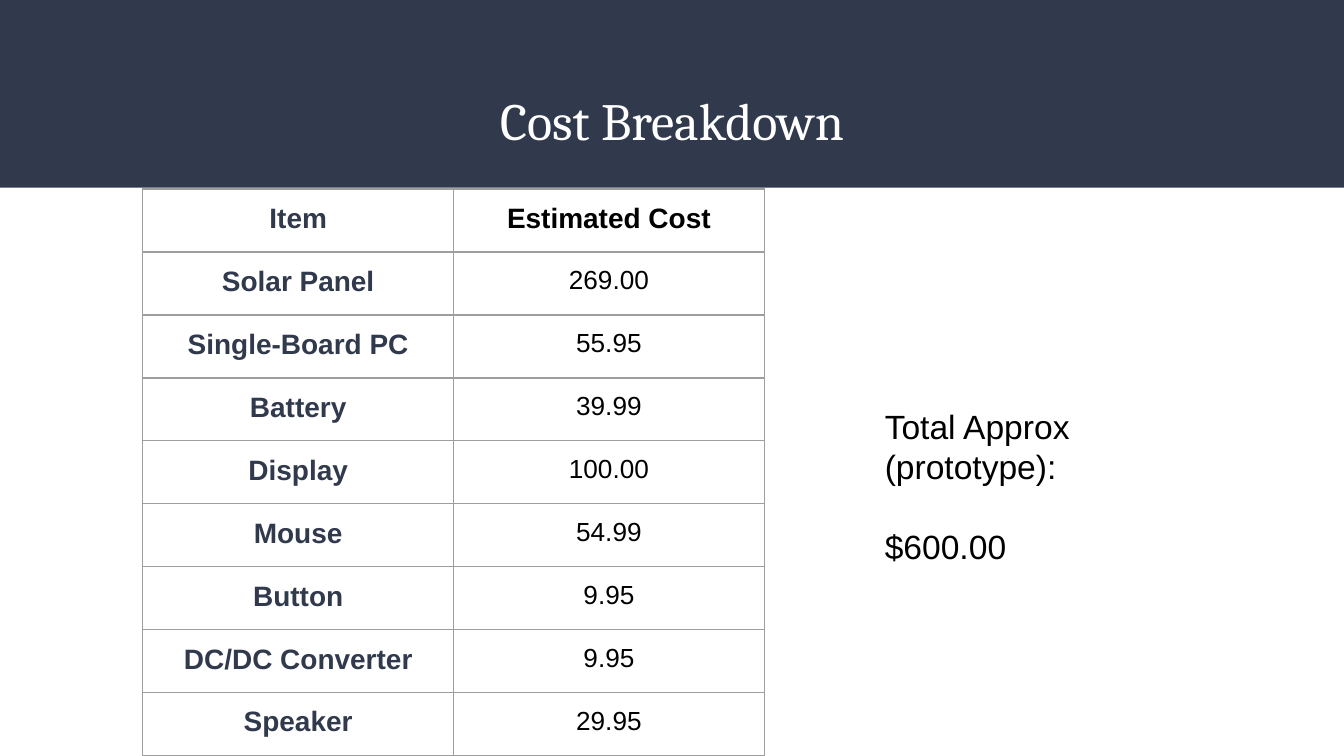
from lxml.etree import SubElement
from pptx import Presentation
from pptx.dml.color import RGBColor
from pptx.enum.shapes import MSO_SHAPE as Shape
from pptx.enum.text import MSO_ANCHOR as Anchor, PP_ALIGN as Align
from pptx.oxml.ns import qn
from pptx.util import Pt

PX = 9525
COLORS = {"navy": "31394D", "white": "FFFFFF", "black": "000000", "border": "9E9E9E"}
COSTS = [
    ("Item", "Estimated Cost"),
    ("Solar Panel", "269.00"),
    ("Single-Board PC", "55.95"),
    ("Battery", "39.99"),
    ("Display", "100.00"),
    ("Mouse", "54.99"),
    ("Button", "9.95"),
    ("DC/DC Converter", "9.95"),
    ("Speaker", "29.95"),
]
MARGINS = {f"margin_{side}": 10 * PX for side in ("left", "right", "top", "bottom")}
TITLE = {"name": "Cambria", "size": Pt(28)}
LABEL = {"name": "Arial", "size": Pt(15), "bold": True}
VALUE = {"name": "Arial", "size": Pt(14), "bold": False}
NOTE = {"name": "Arial", "size": Pt(18)}


def emu(*lengths):
    """Turn px lengths into EMU."""
    return [length * PX for length in lengths]


def set_all(target, values):
    """Set every attribute named in a dict."""
    for name, value in values.items():
        setattr(target, name, value)


def write(paragraph, text, font, color, align=Align.CENTER):
    """Put formatted text in a paragraph."""
    paragraph.alignment = align
    run = paragraph.add_run()
    run.text = text
    set_all(run.font, font)
    run.font.color.rgb = RGBColor.from_string(COLORS[color])


def add_text_frame(slide, left, top, width, height, anchor):
    """Add a wrapping text box and return its frame."""
    frame = slide.shapes.add_textbox(*emu(left, top, width, height)).text_frame
    set_all(frame, {**MARGINS, "word_wrap": True, "vertical_anchor": anchor})
    return frame


def add_header(slide, left, top, width, height):
    """Draw the navy band with the centred title."""
    band = slide.shapes.add_shape(Shape.RECTANGLE, *emu(left, top, width, height))
    band.shadow.inherit = False
    band.fill.solid()
    band.fill.fore_color.rgb = RGBColor.from_string(COLORS["navy"])
    band.line.fill.background()
    frame = add_text_frame(slide, left + 33, top + 53, width - 66, 65, Anchor.BOTTOM)
    write(frame.paragraphs[0], "Cost Breakdown", TITLE, "white")


def add_borders(cell):
    """Outline a cell on its four sides."""
    properties = cell._tc.get_or_add_tcPr()
    for index, side in enumerate(("lnL", "lnR", "lnT", "lnB")):
        line = properties.makeelement(qn(f"a:{side}"), {"w": str(Pt(0.75))})
        fill = SubElement(line, qn("a:solidFill"))
        SubElement(fill, qn("a:srgbClr"), val=COLORS["border"])
        properties.insert(index, line)


def add_cost_table(slide, left, top, width, height):
    """Lay out the items and their costs in equal rows and columns."""
    box = emu(left, top, width, height)
    table = slide.shapes.add_table(len(COSTS), len(COSTS[0]), *box).table
    set_all(table, {"first_row": False, "horz_banding": False})
    for row_index, row in enumerate(COSTS):
        for column_index, text in enumerate(row):
            cell = table.cell(row_index, column_index)
            set_all(cell, MARGINS)
            cell.fill.background()
            add_borders(cell)
            font = VALUE if row_index and column_index else LABEL
            color = "black" if column_index else "navy"
            write(cell.text_frame.paragraphs[0], text, font, color)


def add_total(slide, left, top, width, height):
    """State the approximate total beside the table."""
    frame = add_text_frame(slide, left, top, width, height, Anchor.TOP)
    write(frame.paragraphs[0], "Total Approx (prototype):", NOTE, "black", Align.LEFT)
    amount = frame.add_paragraph()
    amount.space_before = Pt(21)
    write(amount, "$600.00", NOTE, "black", Align.LEFT)


def main():
    """Build and save the slide."""
    presentation = Presentation()
    set_all(presentation, {"slide_width": 960 * PX, "slide_height": 540 * PX})
    slide = presentation.slides.add_slide(presentation.slide_layouts[6])
    add_header(slide, 0, 0, 960, 134)
    add_cost_table(slide, 102, 135, 444, 405)
    add_total(slide, 622, 280, 222, 81)
    presentation.save("out.pptx")


if __name__ == "__main__":
    main()
